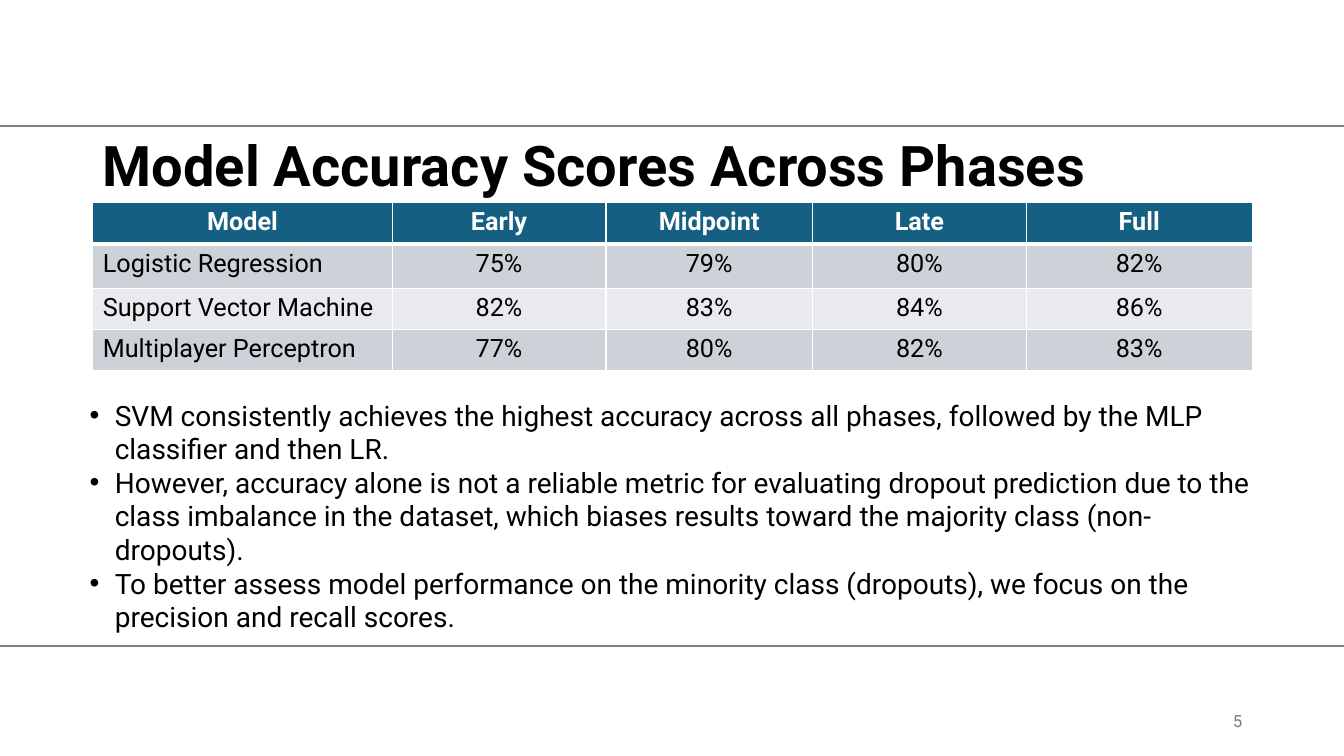
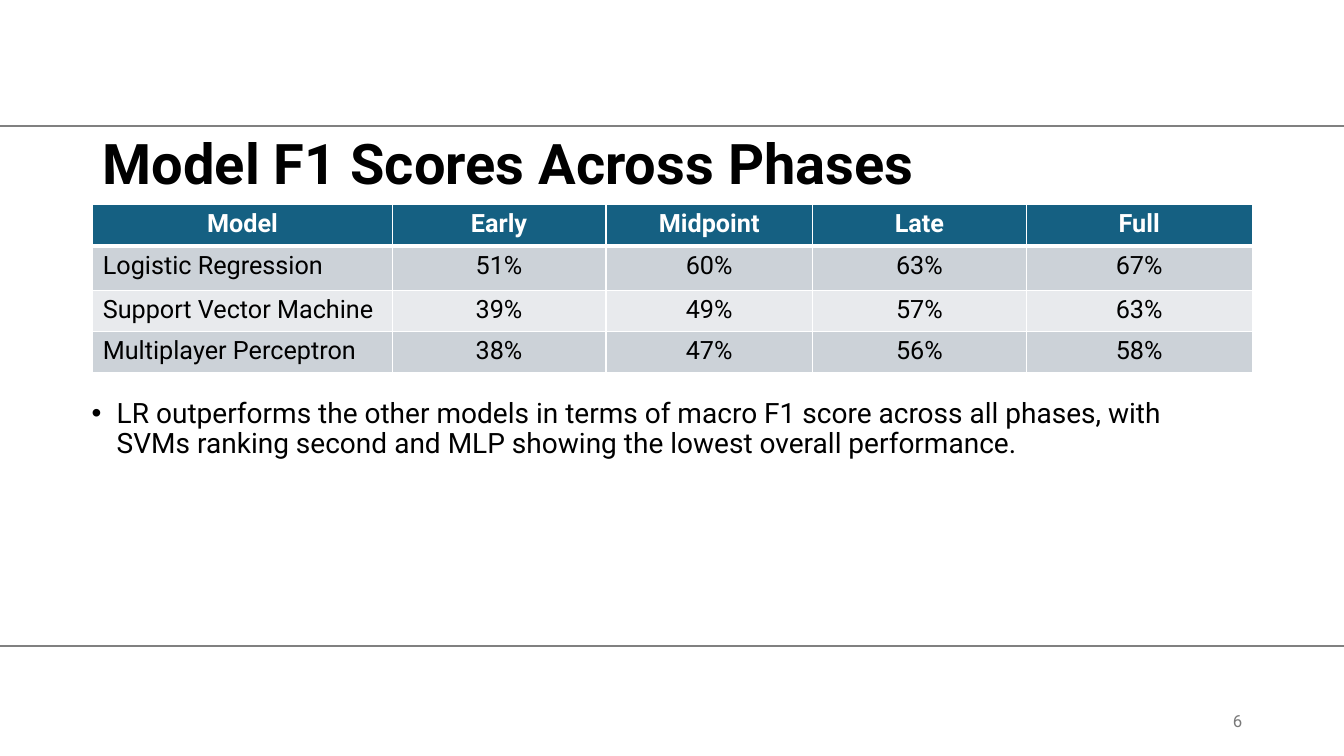
"""Build two slides that compare model scores across course phases."""
from dataclasses import dataclass

from lxml.etree import SubElement
from pptx import Presentation
from pptx.dml.color import RGBColor as Color
from pptx.enum.shapes import MSO_CONNECTOR as Connector
from pptx.enum.text import MSO_ANCHOR as Anchor, PP_ALIGN as Align
from pptx.oxml.ns import qn
from pptx.util import Inches, Pt


@dataclass(frozen=True)
class Theme:
    font: str = "Roboto"
    ink: str = "000000"
    white: str = "FFFFFF"
    rule: str = "808080"
    number: str = "797979"
    header: str = "156082"
    bands: tuple = ("CCD2D8", "E8EAED")
    title_size: float = 40
    body_size: float = 20
    table_size: float = 18
    number_size: float = 12


THEME = Theme()
SLIDE_WIDTH, SLIDE_HEIGHT = 13.33, 7.5
LEFT, WIDTH = 0.92, 11.5
RULE_TOPS = (1.25, 6.41)
COLUMN_WIDTHS = (2.97, 2.12, 2.05, 2.12, 2.24)
ROW_HEIGHTS = (0.41, 0.44, 0.41, 0.41)
HEADINGS = ("Model", "Early", "Midpoint", "Late", "Full")
MODELS = ("Logistic Regression", "Support Vector Machine", "Multiplayer Perceptron")

SLIDES = (
    {
        "number": 5,
        "title": "Model Accuracy Scores Across Phases",
        "title_box": (LEFT, 1.22, WIDTH, 0.91),
        "table_top": 2.01,
        "scores": ((75, 79, 80, 82), (82, 83, 84, 86), (77, 80, 82, 83)),
        "body_box": (0.79, 3.9, 11.88, 2.12),
        "line_spacing": 1.0,
        "space_before": 0,
        "bullets": (
            "SVM consistently achieves the highest accuracy across all phases, "
            "followed by the MLP classifier and then LR.",
            "However, accuracy alone is not a reliable metric for evaluating dropout "
            "prediction due to the class imbalance in the dataset, which biases results "
            "toward the majority class (non-dropouts).",
            "To better assess model performance on the minority class (dropouts), "
            "we focus on the precision and recall scores.",
        ),
    },
    {
        "number": 6,
        "title": "Model F1 Scores Across Phases",
        "title_box": (LEFT, 1.4, WIDTH, 0.5),
        "table_top": 2.03,
        "scores": ((51, 60, 63, 67), (39, 49, 57, 63), (38, 47, 56, 58)),
        "body_box": (0.81, 3.91, WIDTH, 2.16),
        "line_spacing": 0.9,
        "space_before": 10,
        "bullets": (
            "LR outperforms the other models in terms of macro F1 score across all phases, "
            "with SVMs ranking second and MLP showing the lowest overall performance.",
        ),
    },
)


def style_text(para, size, color, bold=False, align=Align.LEFT):
    para.alignment = align
    for span in para.runs:
        span.font.name = THEME.font
        span.font.size = Pt(size)
        span.font.bold = bold
        span.font.color.rgb = Color.from_string(color)


def add_text(page, bounds, lines, anchor=Anchor.TOP):
    box = page.shapes.add_textbox(*map(Inches, bounds))
    frame = box.text_frame
    frame.word_wrap = True
    frame.vertical_anchor = anchor
    frame.text = "\n".join(lines)
    return frame.paragraphs


deck = Presentation()
deck.slide_width, deck.slide_height = Inches(SLIDE_WIDTH), Inches(SLIDE_HEIGHT)

for content in SLIDES:
    page = deck.slides.add_slide(deck.slide_layouts[6])

    for top in RULE_TOPS:
        rule = page.shapes.add_connector(
            Connector.STRAIGHT, 0, Inches(top), Inches(SLIDE_WIDTH), Inches(top)
        )
        rule.line.color.rgb = Color.from_string(THEME.rule)
        rule.line.width = Pt(1.5)
        SubElement(rule.element.spPr, qn("a:effectLst"))

    title = add_text(page, content["title_box"], [content["title"]], Anchor.MIDDLE)[0]
    title.line_spacing = 0.9
    style_text(title, THEME.title_size, THEME.ink, bold=True)

    number = add_text(page, (9.42, 6.95, 3, 0.4), [str(content["number"])], Anchor.MIDDLE)[0]
    style_text(number, THEME.number_size, THEME.number, align=Align.RIGHT)

    rows = [HEADINGS]
    for model, scores in zip(MODELS, content["scores"]):
        rows.append((model, *(f"{score}%" for score in scores)))
    table = page.shapes.add_table(
        len(rows), len(HEADINGS), Inches(LEFT), Inches(content["table_top"]),
        Inches(WIDTH), Inches(sum(ROW_HEIGHTS)),
    ).table
    for column, width in zip(table.columns, COLUMN_WIDTHS):
        column.width = Inches(width)
    for row_index, row in enumerate(rows):
        table.rows[row_index].height = Inches(ROW_HEIGHTS[row_index])
        is_header = row_index == 0
        fill = THEME.header if is_header else THEME.bands[(row_index - 1) % 2]
        for column_index, value in enumerate(row):
            cell = table.cell(row_index, column_index)
            cell.text = value
            style_text(
                cell.text_frame.paragraphs[0],
                THEME.table_size,
                THEME.white if is_header else THEME.ink,
                bold=is_header,
                align=Align.CENTER if is_header or column_index else Align.LEFT,
            )
            properties = cell._tc.get_or_add_tcPr()
            for side in "LRTB":
                thick = (row_index, side) in ((0, "B"), (1, "T"))
                border = SubElement(properties, qn(f"a:ln{side}"), w=str(Pt(3 if thick else 1)))
                paint = SubElement(border, qn("a:solidFill"))
                SubElement(paint, qn("a:srgbClr"), val=THEME.white)
            cell.fill.solid()
            cell.fill.fore_color.rgb = Color.from_string(fill)

    for para in add_text(page, content["body_box"], content["bullets"]):
        style_text(para, THEME.body_size, THEME.ink)
        para.line_spacing = content["line_spacing"]
        para.space_before = Pt(content["space_before"])
        properties = para._p.get_or_add_pPr()
        properties.set("marL", str(Inches(0.25)))
        properties.set("indent", str(Inches(-0.25)))
        SubElement(properties, qn("a:buFont"), typeface="Arial")
        SubElement(properties, qn("a:buChar"), char="•")

deck.save("out.pptx")
